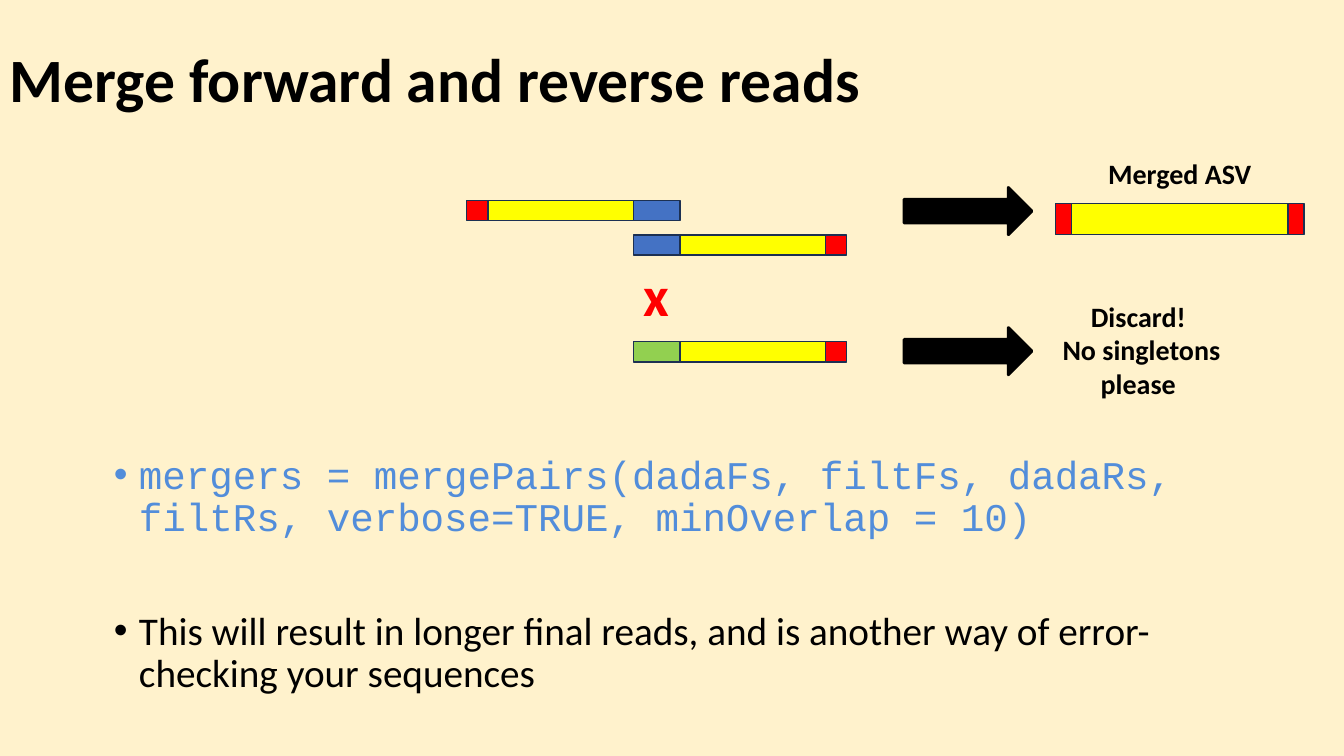
from lxml import etree
from pptx import Presentation
from pptx.dml.color import RGBColor
from pptx.enum.shapes import MSO_SHAPE
from pptx.enum.text import MSO_ANCHOR, PP_ALIGN
from pptx.oxml.ns import qn
from pptx.util import Pt

RECT = MSO_SHAPE.RECTANGLE
ARROW = MSO_SHAPE.RIGHT_ARROW
MIDDLE = MSO_ANCHOR.MIDDLE
LEFT = PP_ALIGN.LEFT
CENTER = PP_ALIGN.CENTER

CREAM = RGBColor(0xFF, 0xF2, 0xCC)
BLACK = RGBColor(0, 0, 0)
RED = RGBColor(0xFF, 0, 0)
YELLOW = RGBColor(0xFF, 0xFF, 0)
BLUE = RGBColor(0x44, 0x72, 0xC4)
GREEN = RGBColor(0x92, 0xD0, 0x50)
NAVY = RGBColor(0x1C, 0x30, 0x52)
SKY = RGBColor(0x52, 0x8D, 0xDA)

PRIMER, READ, OVERLAP = 15.1, 104, 33.2


def add_box(slide, box):
    frame = slide.shapes.add_textbox(*map(Pt, box)).text_frame
    frame.word_wrap = True
    return frame


def style(para, size, color, name="Calibri", bold=False):
    font = para.font
    font.size, font.bold, font.name = Pt(size), bold, name
    font.color.rgb = color


def add_label(slide, box, lines, size, color=BLACK, align=CENTER):
    frame = add_box(slide, box)
    frame.text = "\n".join(lines)
    for para in frame.paragraphs:
        para.alignment = align
        style(para, size, color, bold=True)
    return frame


def add_title(slide, box):
    frame = add_label(slide, box, ["Merge forward and reverse reads"], 44, align=LEFT)
    frame.vertical_anchor = MIDDLE
    frame.paragraphs[0].line_spacing = 0.9


def add_body(slide, box):
    frame = add_box(slide, box)
    items = [
        ("mergers = mergePairs(dadaFs, filtFs, dadaRs, filtRs, "
         "verbose=TRUE, minOverlap = 10)", "Courier New", SKY, 0),
        ("This will result in longer final reads, and is another way of "
         "error-checking your sequences", "Calibri", BLACK, 50.8),
    ]
    for i, (text, name, color, gap) in enumerate(items):
        para = frame.add_paragraph() if i else frame.paragraphs[0]
        para.text = text
        para.line_spacing = 0.9
        para.space_before = Pt(gap)
        props = para._p.get_or_add_pPr()
        props.set("marL", str(Pt(18)))
        props.set("indent", str(-Pt(18)))
        etree.SubElement(props, qn("a:buFont")).set("typeface", "Arial")
        etree.SubElement(props, qn("a:buChar")).set("char", "•")
        style(para, 28, color, name)


def add_shape(slide, kind, box, fill, line, width):
    shape = slide.shapes.add_shape(kind, *map(Pt, box))
    shape.shadow.inherit = False
    shape.fill.solid()
    shape.fill.fore_color.rgb = fill
    shape.line.color.rgb = line
    shape.line.width = Pt(width)


def add_strip(slide, left, top, height, parts):
    for width, fill in parts:
        add_shape(slide, RECT, (left, top, width, height), fill, NAVY, 1)
        left += width


def add_reads(slide, left, top):
    start = left + PRIMER + READ
    tail = [(READ, YELLOW), (PRIMER, RED)]
    add_strip(slide, left, top, 14.4,
              [(PRIMER, RED), (READ, YELLOW), (OVERLAP, BLUE)])
    add_strip(slide, start, top + 24.5, 14.4, [(OVERLAP, BLUE)] + tail)
    add_strip(slide, start, top + 100.8, 14.4, [(OVERLAP, GREEN)] + tail)
    add_label(slide, (start - 4.6, top + 38.9, 42.5, 55.4), ["x"], 40, RED)


def add_results(slide, left, top):
    for down in (0, 100.1):
        add_shape(slide, ARROW, (left, top + down, 91.4, 33.8), BLACK, BLACK, 2)
    add_strip(slide, left + 108, top + 11.5, 22.3,
              [(11.5, RED), (154.8, YELLOW), (11.5, RED)])
    add_label(slide, (left + 133.2, top - 25.9, 127.4, 31.7), ["Merged ASV"], 20)
    add_label(slide, (left + 105.9, top + 76.3, 127.4, 79.9),
              ["Discard! ", "No singletons please "], 20)


def main():
    deck = Presentation()
    deck.slide_width, deck.slide_height = Pt(960), Pt(540)
    slide = deck.slides.add_slide(deck.slide_layouts[6])
    slide.background.fill.solid()
    slide.background.fill.fore_color.rgb = CREAM
    add_title(slide, (0, 6.5, 828, 104.4))
    add_body(slide, (74.2, 321.7, 828, 204.6))
    add_reads(slide, 333.4, 143.3)
    add_results(slide, 645.8, 133.9)
    deck.save("out.pptx")


if __name__ == "__main__":
    main()
